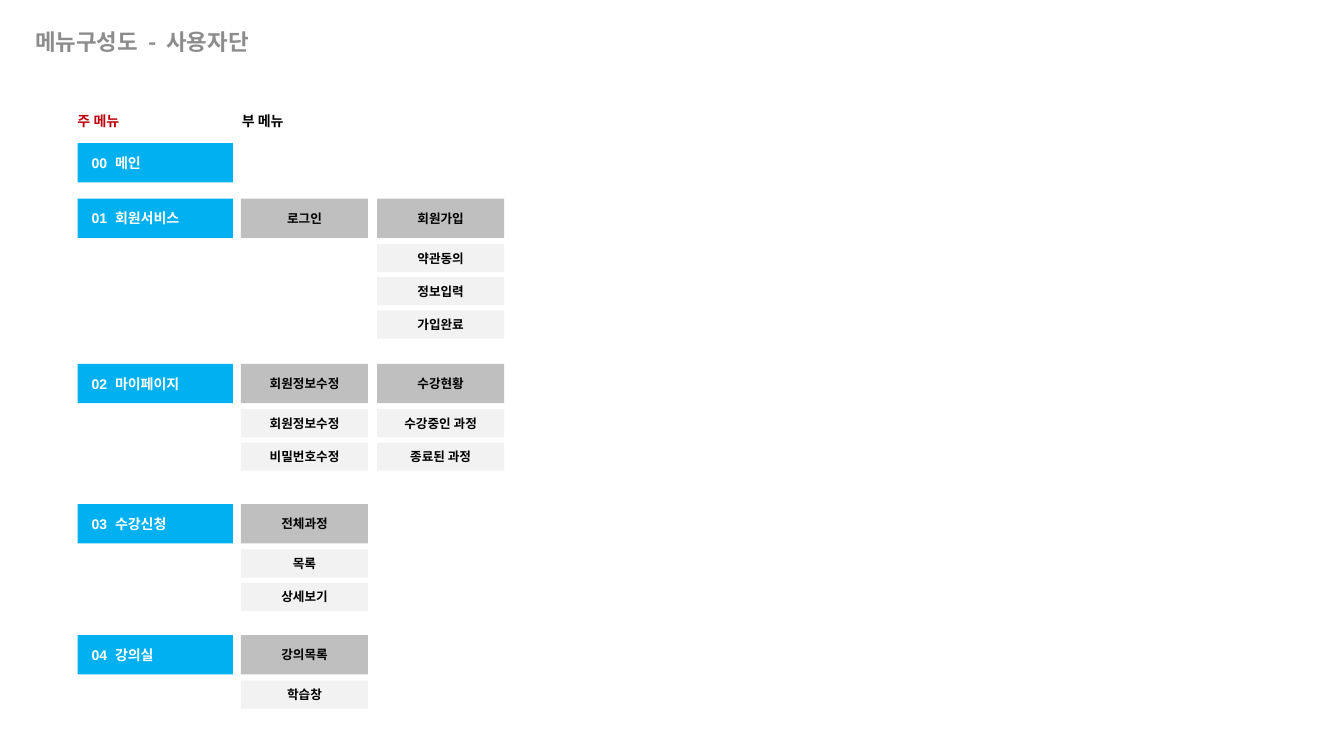
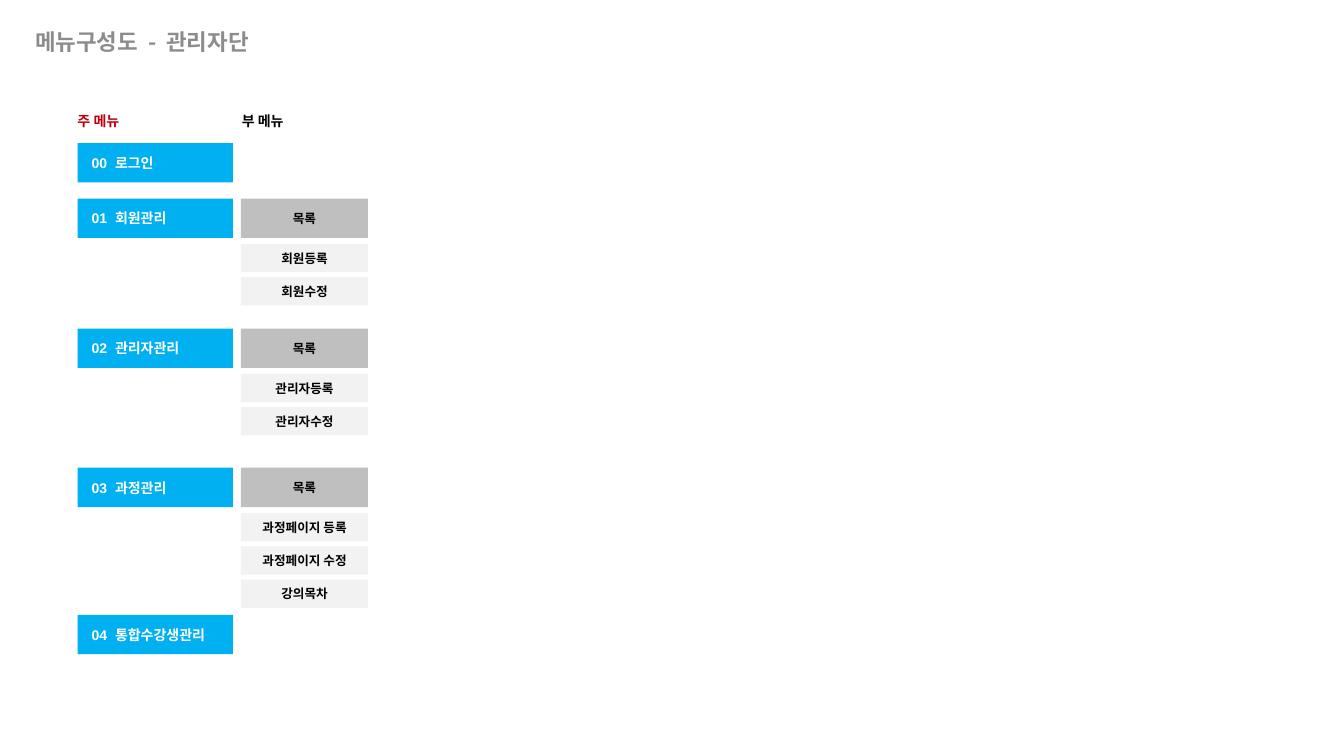
from dataclasses import dataclass

from lxml.etree import SubElement
from pptx import Presentation
from pptx.dml.color import RGBColor
from pptx.enum.shapes import MSO_SHAPE
from pptx.enum.text import MSO_ANCHOR, PP_ALIGN
from pptx.oxml.ns import qn
from pptx.util import Inches, Pt


@dataclass(frozen=True)
class TextStyle:
    size: int
    color: str
    font: str = "Arial"
    align: PP_ALIGN = PP_ALIGN.LEFT
    anchor: MSO_ANCHOR = MSO_ANCHOR.MIDDLE
    wrap: bool = True
    indent: float = 0.1
    space_width: float = 0  # points added to each space


@dataclass(frozen=True)
class Theme:
    korean: str = "Noto Sans CJK KR"
    main_fill: str = "00B0F0"
    sub_fill: str = "BFBFBF"
    item_fill: str = "F2F2F2"
    title: TextStyle = TextStyle(16, "8C8C8C", korean, space_width=3.6)
    main_heading: TextStyle = TextStyle(10, "BC000D", korean, anchor=MSO_ANCHOR.TOP, wrap=False)
    sub_heading: TextStyle = TextStyle(10, "000000", korean, anchor=MSO_ANCHOR.TOP, wrap=False)
    main: TextStyle = TextStyle(10, "FFFFFF", indent=0.14, space_width=2.8)
    sub: TextStyle = TextStyle(9, "000000", align=PP_ALIGN.CENTER)


@dataclass(frozen=True)
class Box:
    left: float
    top: float
    width: float
    height: float

    def inches(self):
        return [Inches(v) for v in (self.left, self.top, self.width, self.height)]


THEME = Theme()
TITLE_BOX = Box(0.25, 0.21, 2.49, 0.4)
MAP_BOX = Box(0.77, 1.07, 4.23, 5.96)

# Offsets and sizes inside the menu map
HEADING_WIDTH, HEADING_HEIGHT = 0.65, 0.27
MAIN_WIDTH, MENU_HEIGHT = 1.54, 0.39
SUB_LEFT, SUB_WIDTH, SUB_PITCH = 1.62, 1.26, 1.35
ITEM_TOP, ITEM_HEIGHT, ITEM_PITCH = 0.45, 0.28, 0.33

# Each menu: top inside the map, name, and its submenus with their items
USER_MENUS = [
    (0.35, "00 메인", {}),
    (0.9, "01 회원서비스", {"로그인": [], "회원가입": ["약관동의", "정보입력", "가입완료"]}),
    (2.54, "02 마이페이지", {"회원정보수정": ["회원정보수정", "비밀번호수정"],
                         "수강현황": ["수강중인 과정", "종료된 과정"]}),
    (3.93, "03 수강신청", {"전체과정": ["목록", "상세보기"]}),
    (5.23, "04 강의실", {"강의목록": ["학습창"]}),
]
ADMIN_MENUS = [
    (0.35, "00 로그인", {}),
    (0.9, "01 회원관리", {"목록": ["회원등록", "회원수정"]}),
    (2.19, "02 관리자관리", {"목록": ["관리자등록", "관리자수정"]}),
    (3.57, "03 과정관리", {"목록": ["과정페이지 등록", "과정페이지 수정", "강의목차"]}),
    (5.03, "04 통합수강생관리", {}),
]


def set_attributes(target, values):
    for name, value in values.items():
        setattr(target, name, value)


def add_run(paragraph, text, style):
    run = paragraph.add_run()
    run.text = text
    set_attributes(run.font, {"name": style.font, "size": Pt(style.size), "bold": True})
    run.font.color.rgb = RGBColor.from_string(style.color)
    properties = run._r.get_or_add_rPr()
    SubElement(properties, qn("a:ea")).set("typeface", THEME.korean)
    if text == " " and style.space_width:
        properties.set("spc", str(round(style.space_width * 100)))


def write_text(frame, text, style):
    set_attributes(frame, {
        "word_wrap": style.wrap,
        "vertical_anchor": style.anchor,
        "margin_left": Inches(style.indent),
        "margin_right": Inches(0.1),
        "margin_top": Inches(0.05),
        "margin_bottom": Inches(0.05),
    })
    paragraph = frame.paragraphs[0]
    paragraph.alignment = style.align
    for position, word in enumerate(text.split(" ")):
        if position:
            add_run(paragraph, " ", style)
        add_run(paragraph, word, style)


def add_label(slide, box, text, style):
    write_text(slide.shapes.add_textbox(*box.inches()).text_frame, text, style)


def add_menu_box(slide, box, text, fill, style):
    rectangle = slide.shapes.add_shape(MSO_SHAPE.RECTANGLE, *box.inches())
    rectangle.shadow.inherit = False
    rectangle.fill.solid()
    rectangle.fill.fore_color.rgb = RGBColor.from_string(fill)
    rectangle.line.fill.background()
    write_text(rectangle.text_frame, text, style)


def add_headings(slide, area):
    headings = [(0, "주 메뉴", THEME.main_heading), (SUB_LEFT + 0.01, "부 메뉴", THEME.sub_heading)]
    for offset, text, style in headings:
        # The text, not the frame, lines up with the column
        left = area.left + offset - style.indent
        add_label(slide, Box(left, area.top, HEADING_WIDTH, HEADING_HEIGHT), text, style)


def add_submenu(slide, area, name, items):
    """Place a submenu at the top of its area and its items below it."""
    add_menu_box(slide, Box(area.left, area.top, area.width, MENU_HEIGHT),
                 name, THEME.sub_fill, THEME.sub)
    for row, item in enumerate(items):
        top = area.top + ITEM_TOP + row * ITEM_PITCH
        add_menu_box(slide, Box(area.left, top, area.width, ITEM_HEIGHT),
                     item, THEME.item_fill, THEME.sub)


def add_menu_map(slide, area, menus):
    add_headings(slide, area)
    for offset, name, submenus in menus:
        top = area.top + offset
        add_menu_box(slide, Box(area.left, top, MAIN_WIDTH, MENU_HEIGHT),
                     name, THEME.main_fill, THEME.main)
        for column, (submenu, items) in enumerate(submenus.items()):
            left = area.left + SUB_LEFT + column * SUB_PITCH
            height = ITEM_TOP + len(items) * ITEM_PITCH
            add_submenu(slide, Box(left, top, SUB_WIDTH, height), submenu, items)


def add_menu_slide(presentation, title, menus):
    slide = presentation.slides.add_slide(presentation.slide_layouts[6])
    add_label(slide, TITLE_BOX, title, THEME.title)
    add_menu_map(slide, MAP_BOX, menus)


def main():
    presentation = Presentation()
    set_attributes(presentation, {"slide_width": Inches(13.33), "slide_height": Inches(7.5)})
    add_menu_slide(presentation, "메뉴구성도 - 사용자단", USER_MENUS)
    add_menu_slide(presentation, "메뉴구성도 - 관리자단", ADMIN_MENUS)
    presentation.save("out.pptx")


if __name__ == "__main__":
    main()
